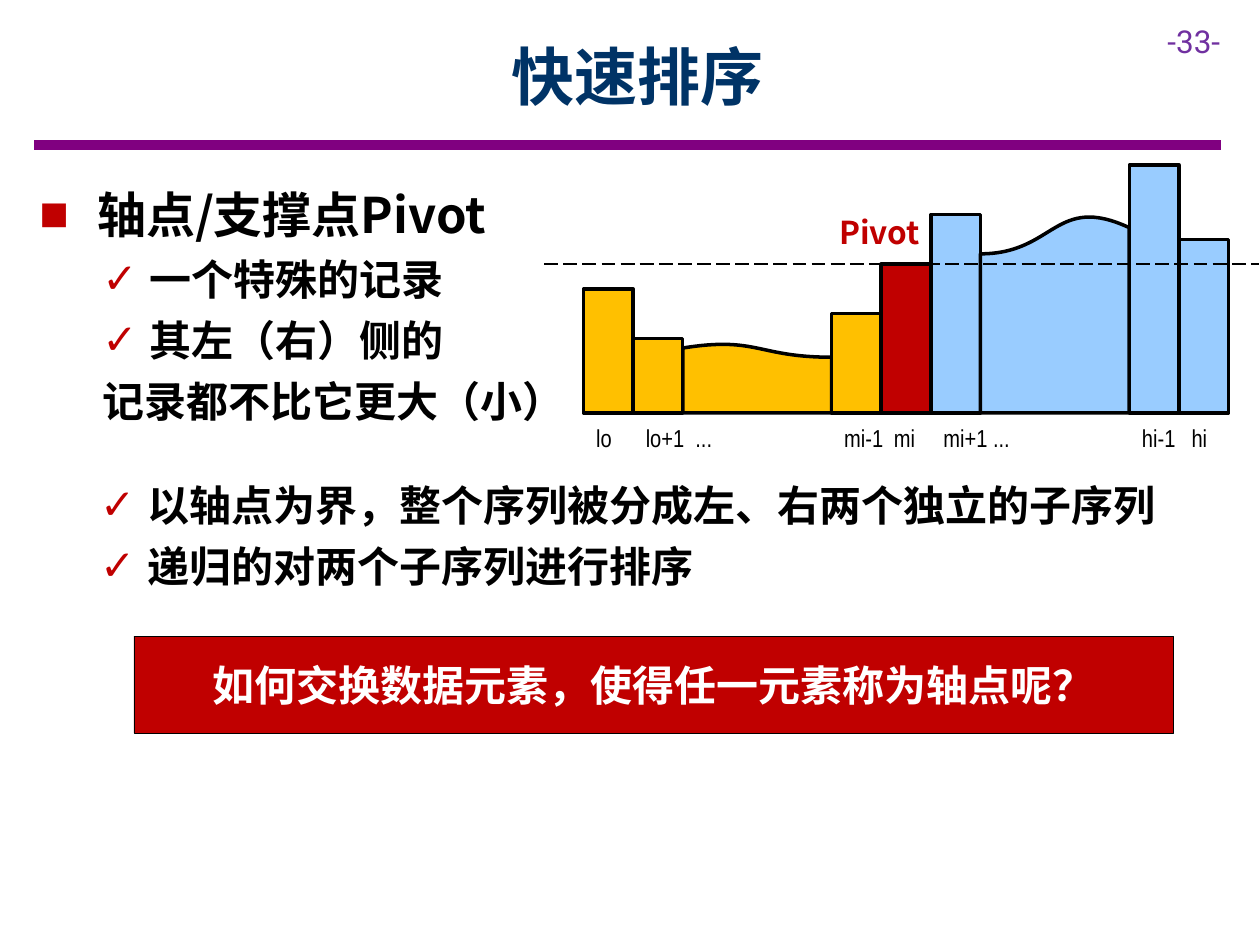
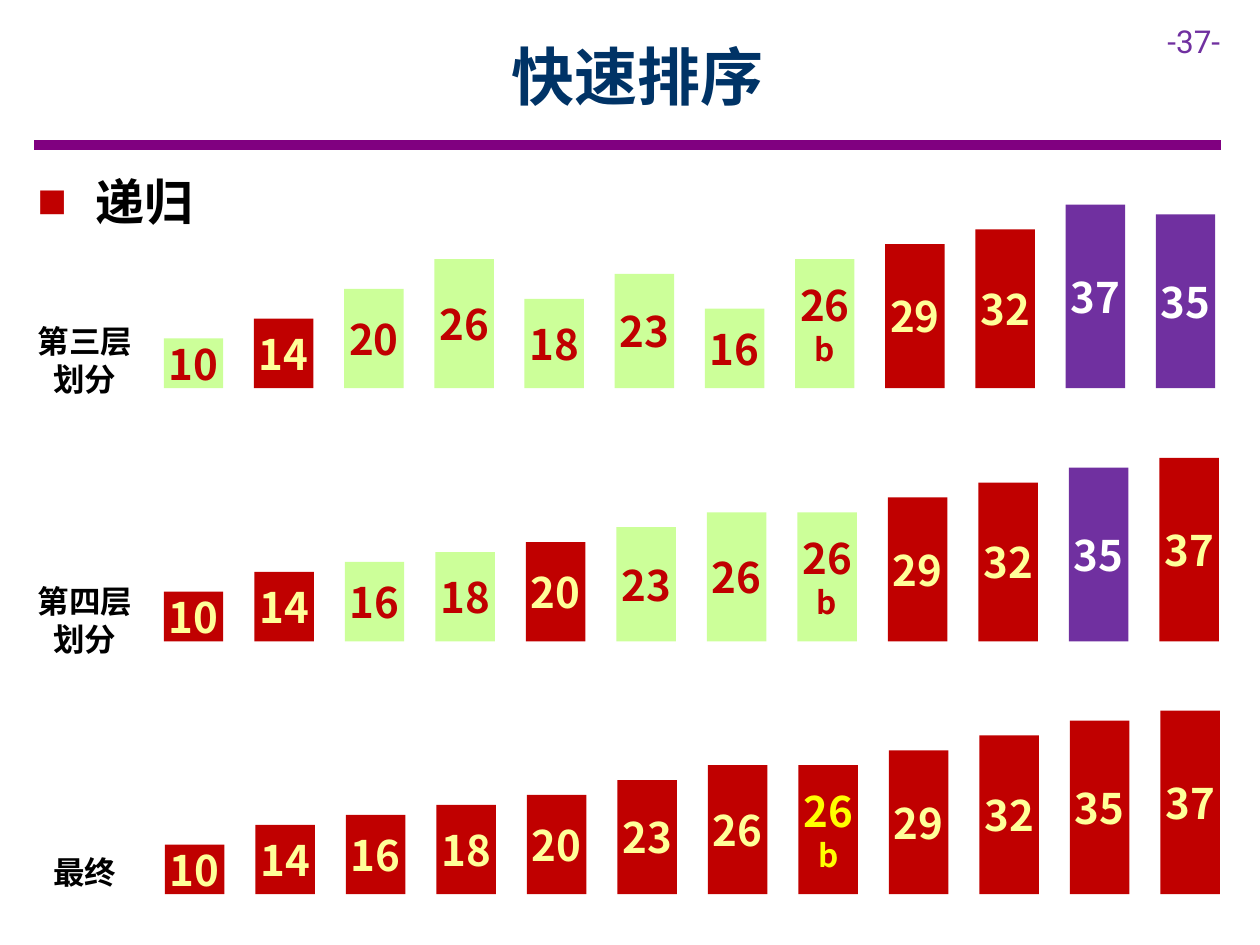
from dataclasses import dataclass

from lxml.etree import SubElement
from pptx import Presentation
from pptx.dml.color import RGBColor
from pptx.enum.dml import MSO_LINE
from pptx.enum.shapes import MSO_CONNECTOR, MSO_SHAPE
from pptx.enum.text import MSO_ANCHOR, MSO_AUTO_SIZE, PP_ALIGN
from pptx.oxml.ns import qn
from pptx.util import Pt


@dataclass(frozen=True)
class Theme:
    cjk: str = "Noto Sans CJK SC"
    number: str = "Roboto"
    index: str = "Arial Narrow"
    navy: str = "003366"
    rule: str = "800080"
    purple: str = "7030A0"
    red: str = "C00000"
    amber: str = "FFC000"
    blue: str = "99CCFF"
    green: str = "CCFF99"
    cream: str = "FFFF99"
    yellow: str = "FFFF00"
    black: str = "000000"
    white: str = "FFFFFF"
    title: int = 36
    heading: int = 28
    body: int = 24
    small: int = 18
    tick: int = 14


T = Theme()
LINE_FACTOR = 1.2
BULLETS = {"heading": ("■", 33, -33), "item": ("✓", 63, -27), "plain": (None, 36, 0)}
BAR_STYLES = {
    "g": (T.green, T.red),
    "r": (T.red, T.cream),
    "p": (T.purple, T.white),
    "y": (T.red, T.yellow),
}
UNIT = 2.835
BAR_WIDTH = 34
CELL = 28.35
ARRAY_LEFT = 333.5
ARRAY_BASE = 236
TICK_INDENT = 7.2


def rgb(value):
    return RGBColor.from_string(value)


def style(p, size, color, font=T.cjk, bold=True):
    for r in p.runs:
        r.font.size = Pt(size)
        r.font.bold = bold
        r.font.color.rgb = rgb(color)
        r.font.name = font
        SubElement(r._r.get_or_add_rPr(), qn("a:ea")).set("typeface", font)


def tighten(p, size):
    p.line_spacing = Pt(round(size * LINE_FACTOR, 1))


def clear_insets(tf):
    tf.margin_left = tf.margin_right = tf.margin_top = tf.margin_bottom = 0


def place(sp, left, top, width, height):
    sp.left, sp.top, sp.width, sp.height = map(Pt, (left, top, width, height))


def add_text(s, text, box, size, color, font=T.cjk, bold=True, align=PP_ALIGN.LEFT):
    tf = s.shapes.add_textbox(*map(Pt, box)).text_frame
    tf.word_wrap = False
    tf.text = text
    for p in tf.paragraphs:
        p.alignment = align
        style(p, size, color, font, bold)
        if font == T.cjk:
            tighten(p, size)
    return tf


def add_line(s, x1, x2, y, color, width, dash=None):
    ln = s.shapes.add_connector(MSO_CONNECTOR.STRAIGHT, Pt(x1), Pt(y), Pt(x2), Pt(y))
    ln.line.color.rgb = rgb(color)
    ln.line.width = Pt(width)
    if dash:
        ln.line.dash_style = dash
    SubElement(ln._element.spPr, qn("a:effectLst"))


def add_block(s, kind, box, fill, line=None):
    sp = s.shapes.add_shape(kind, *map(Pt, box))
    sp.shadow.inherit = False
    sp.fill.solid()
    sp.fill.fore_color.rgb = rgb(fill)
    if line:
        sp.line.color.rgb = rgb(T.black)
        sp.line.width = Pt(line)
    else:
        sp.line.fill.background()
    return sp


def set_bullet(p, kind):
    char, left, indent = BULLETS[kind]
    pPr = p._p.get_or_add_pPr()
    pPr.set("marL", str(Pt(left)))
    pPr.set("indent", str(Pt(indent)))
    if char is None:
        SubElement(pPr, qn("a:buNone"))
        return
    SubElement(SubElement(pPr, qn("a:buClr")), qn("a:srgbClr")).set("val", T.red)
    SubElement(pPr, qn("a:buFont")).set("typeface", "Arial")
    SubElement(pPr, qn("a:buChar")).set("char", char)


def fill_list(sp, box, items):
    place(sp, *box)
    tf = sp.text_frame
    tf.word_wrap = True
    tf.auto_size = MSO_AUTO_SIZE.NONE
    tf.text = "\n".join(text for _, text in items)
    for p, (kind, _) in zip(tf.paragraphs, items):
        size = T.heading if kind == "heading" else T.body
        p.level = 0 if kind == "heading" else 1
        set_bullet(p, kind)
        p.space_before = Pt(0)
        p.space_after = Pt(6)
        tighten(p, size)
        style(p, size, T.black)


def new_slide(prs, title, number):
    s = prs.slides.add_slide(prs.slide_layouts[1])
    add_line(s, 19.6, 697.6, 82.8, T.rule, 6)
    add_text(s, f"-{number}-", (660, 9, 60, 29), T.small, T.purple, T.number, False)
    place(s.shapes.title, 65.3, 6.8, 598, 72)
    tf = s.shapes.title.text_frame
    tf.auto_size = MSO_AUTO_SIZE.NONE
    tf.vertical_anchor = MSO_ANCHOR.MIDDLE
    tf.text = title
    tf.paragraphs[0].alignment = PP_ALIGN.CENTER
    style(tf.paragraphs[0], T.title, T.navy)
    return s


def add_cell(s, column, height, fill, span=1, wave=False, mirror=False):
    box = (ARRAY_LEFT + column * CELL, ARRAY_BASE - height * CELL, span * CELL, height * CELL)
    kind = MSO_SHAPE.FLOWCHART_DOCUMENT if wave else MSO_SHAPE.RECTANGLE
    sp = add_block(s, kind, box, fill, 2)
    if wave:
        xfrm = sp._element.spPr.find(qn("a:xfrm"))
        xfrm.set("flipV", "1")
        if mirror:
            xfrm.set("flipH", "1")


def add_tick(s, column, text):
    box = (ARRAY_LEFT + column * CELL + TICK_INDENT, ARRAY_BASE, CELL, CELL)
    tf = add_text(s, text, box, T.tick, T.black, T.index, False)
    tf.vertical_anchor = MSO_ANCHOR.MIDDLE
    clear_insets(tf)


def add_partition(s):
    for column, height in ((12, 3.5), (11, 5), (7, 4)):
        add_cell(s, column, height, T.blue)
    add_cell(s, 8, 4, T.blue, 3, True, True)
    add_line(s, 311, 719.5, 151, T.black, 1, MSO_LINE.LONG_DASH)
    add_cell(s, 2, 1.4, T.amber, 3, True)
    add_cell(s, 6, 3, T.red)
    for column, height in ((0, 2.5), (1, 1.5), (5, 2)):
        add_cell(s, column, height, T.amber)
    ticks = {0: "lo", 1: "lo+1", 2: "...", 5: "mi-1", 6: "mi", 7: "mi+1",
             8: "...", 11: "hi-1", 12: "hi"}
    for column, text in ticks.items():
        add_tick(s, column, text)
    add_text(s, "Pivot", (472.5, 118, 62, 29), T.small, T.red)


def add_question(s, text):
    sp = add_block(s, MSO_SHAPE.RECTANGLE, (76.5, 363.5, 594, 55.5), T.red, 0.25)
    tf = sp.text_frame
    tf.vertical_anchor = MSO_ANCHOR.MIDDLE
    tf.text = text
    tf.paragraphs[0].alignment = PP_ALIGN.CENTER
    style(tf.paragraphs[0], T.body, T.white)


def add_bar(s, label, code, left, base):
    value, suffix = label[:2], label[2:]
    fill, color = BAR_STYLES[code]
    height = int(value) * UNIT
    sp = add_block(s, MSO_SHAPE.RECTANGLE, (left, base - height, BAR_WIDTH, height), fill)
    tf = sp.text_frame
    clear_insets(tf)
    tf.vertical_anchor = MSO_ANCHOR.MIDDLE
    tf.text = f"{value}\n{suffix}" if suffix else value
    for p, size in zip(tf.paragraphs, (T.body, T.small)):
        p.alignment = PP_ALIGN.CENTER
        tighten(p, size)
        style(p, size, color)


def add_bar_row(s, name, name_top, labels, codes, left, base, pitch):
    for i, (label, code) in enumerate(zip(labels.split(), codes)):
        add_bar(s, label, code, left + i * pitch, base)
    height = 51 if "\n" in name else 29
    add_text(s, name, (14, name_top, 69, height), T.small, T.black, align=PP_ALIGN.CENTER)


def pivot_slide(prs):
    s = new_slide(prs, "快速排序", 33)
    fill_list(s.placeholders[1], (15.3, 101.8, 687, 177), [
        ("heading", "轴点/支撑点Pivot"),
        ("item", "一个特殊的记录"),
        ("item", "其左（右）侧的"),
        ("plain", "记录都不比它更大（小）"),
    ])
    add_partition(s)
    fill_list(s.shapes.add_textbox(0, 0, 0, 0), (14.2, 270.5, 687, 71), [
        ("item", "以轴点为界，整个序列被分成左、右两个独立的子序列"),
        ("item", "递归的对两个子序列进行排序"),
    ])
    add_question(s, "如何交换数据元素，使得任一元素称为轴点呢？")


def recursion_slide(prs):
    s = new_slide(prs, "快速排序", 37)
    fill_list(s.placeholders[1], (14.2, 94.2, 687, 41), [("heading", "递归")])
    ordered = "10 14 16 18 20 23 26 26b 29 32 35 37"
    add_bar_row(s, "第三层\n划分", 180.5, "10 14 20 26 18 23 16 26b 29 32 37 35",
                "grggggggrrpp", 93.6, 221.8, 51.53)
    add_bar_row(s, "第四层\n划分", 329, ordered, "rrggrgggrrpr", 93.6, 366.5, 51.72)
    add_bar_row(s, "最终", 483.8, ordered, "rrrrrrryrrrr", 94.2, 511, 51.72)


def main():
    prs = Presentation()
    prs.slide_width, prs.slide_height = Pt(720), Pt(540)
    pivot_slide(prs)
    recursion_slide(prs)
    prs.save("out.pptx")


if __name__ == "__main__":
    main()
